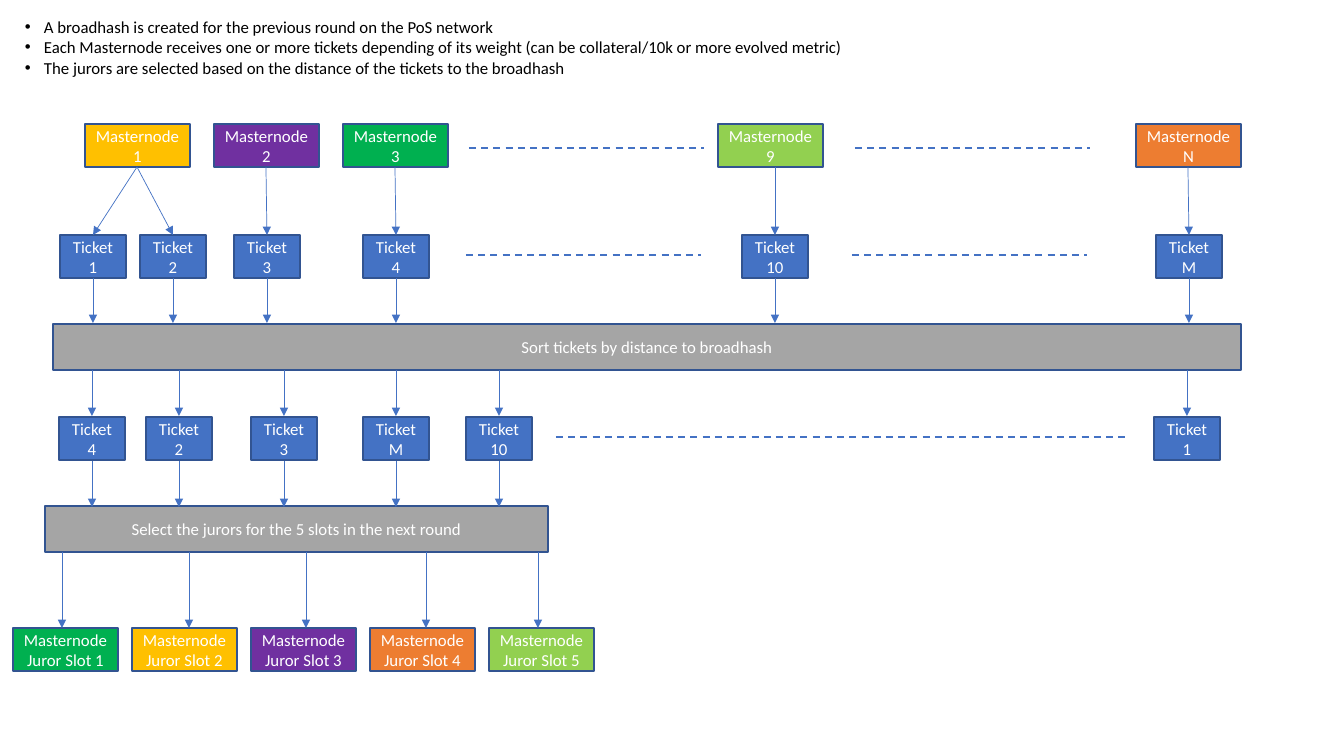
from lxml import etree
from pptx import Presentation
from pptx import util as u
from pptx.dml.color import RGBColor
from pptx.enum import dml, shapes, text
from pptx.oxml.ns import qn

PX = 914400 / 100.8
COLORS = {
    "yellow": "FFC000", "purple": "7030A0", "green": "00B050",
    "lime": "92D050", "orange": "ED7D31", "blue": "4472C4",
    "gray": "A5A5A5", "outline": "325491", "white": "FFFFFF", "black": "000000",
}
TICKET_W, NODE_W, BOX_H = 66, 105, 43


def box(left, top, width, height, label, color):
    rect = slide.shapes.add_shape(
        shapes.MSO_SHAPE.RECTANGLE, *(round(v * PX) for v in (left, top, width, height)))
    rect.shadow.inherit = False
    rect.fill.solid()
    rect.fill.fore_color.rgb = RGBColor.from_string(COLORS[color])
    rect.line.color.rgb = RGBColor.from_string(COLORS["outline"])
    rect.line.width = u.Pt(1)
    frame = rect.text_frame
    frame.text = label
    frame.vertical_anchor = text.MSO_ANCHOR.MIDDLE
    for para in frame.paragraphs:
        para.alignment = text.PP_ALIGN.CENTER
        for key, value in FONT.items():
            setattr(para.font, key, value)
        para.font.color.rgb = RGBColor.from_string(COLORS["white"])


def link(x1, y1, x2, y2, dashed=False):
    line = slide.shapes.add_connector(
        shapes.MSO_CONNECTOR.STRAIGHT, *(round(v * PX) for v in (x1, y1, x2, y2)))
    line.line.color.rgb = RGBColor.from_string(COLORS["blue"])
    line.line.width = u.Pt(1.25 if dashed else 0.5)
    if dashed:
        line.line.dash_style = dml.MSO_LINE.DASH
    else:
        etree.SubElement(line.line._get_or_add_ln(), qn("a:tailEnd"), type="triangle")
    etree.SubElement(line._element.spPr, qn("a:effectLst"))


FONT = {"name": "Calibri", "size": u.Pt(12)}
prs = Presentation()
prs.slide_width, prs.slide_height = round(1344 * PX), round(756 * PX)
slide = prs.slides.add_slide(prs.slide_layouts[6])

# Introductory bullets
intro = slide.shapes.add_textbox(*(round(v * PX) for v in (15, 12, 851, 72))).text_frame
intro.word_wrap = False
intro.text = "\n".join([
    "A broadhash is created for the previous round on the PoS network",
    "Each Masternode receives one or more tickets depending of its weight "
    "(can be collateral/10k or more evolved metric)",
    "The jurors are selected based on the distance of the tickets to the broadhash",
])
for para in intro.paragraphs:
    for key, value in FONT.items():
        setattr(para.font, key, value)
    para.font.color.rgb = RGBColor.from_string(COLORS["black"])
    props = para._p.get_or_add_pPr()
    props.set("marL", str(round(19 * PX)))
    props.set("indent", str(round(-19 * PX)))
    etree.SubElement(props, qn("a:buFont"), typeface="Arial")
    etree.SubElement(props, qn("a:buChar"), char="•")

# Masternodes
for left, number, color in [(85, "1", "yellow"), (214, "2", "purple"), (343, "3", "green"),
                            (718, "9", "lime"), (1136, "N", "orange")]:
    box(left, 124, NODE_W, BOX_H, f"Masternode\n{number}", color)

# Tickets handed out by each masternode, then sent to sorting
for left, number, node_x in [(60, "1", 137), (140, "2", 137), (234, "3", 266),
                             (363, "4", 395), (742, "10", 775), (1156, "M", 1188)]:
    center = left + TICKET_W / 2
    box(left, 235, TICKET_W, BOX_H, f"Ticket\n{number}", "blue")
    link(node_x, 167, center, 235)
    link(center, 278, center, 323)

# Omitted masternodes and tickets
for x1, x2, y in [(469, 704, 148), (855, 1090, 148), (466, 701, 255),
                  (852, 1087, 255), (556, 1125, 437)]:
    link(x1, y, x2, y, dashed=True)

# Sorting and selection steps
box(53, 324, 1188, 46, "Sort tickets by distance to broadhash", "gray")
box(45, 506, 503, 46, "Select the jurors for the 5 slots in the next round", "gray")

# Sorted tickets; the first five go on to selection
for rank, (left, number) in enumerate([(59, "4"), (146, "2"), (251, "3"), (363, "M"),
                                       (466, "10"), (1154, "1")]):
    center = left + TICKET_W / 2
    box(left, 417, TICKET_W, BOX_H, f"Ticket\n{number}", "blue")
    link(center, 370, center, 416)
    if rank < 5:
        link(center, 461, center, 507)

# Juror slots
jurors = [("green", 62), ("yellow", 189), ("purple", 306), ("orange", 426), ("lime", 538)]
for slot, (color, arrow_x) in enumerate(jurors):
    box(13 + 119 * slot, 628, NODE_W, BOX_H, f"Masternode\nJuror Slot {slot + 1}", color)
    link(arrow_x, 552, arrow_x, 628)

prs.save("out.pptx")
